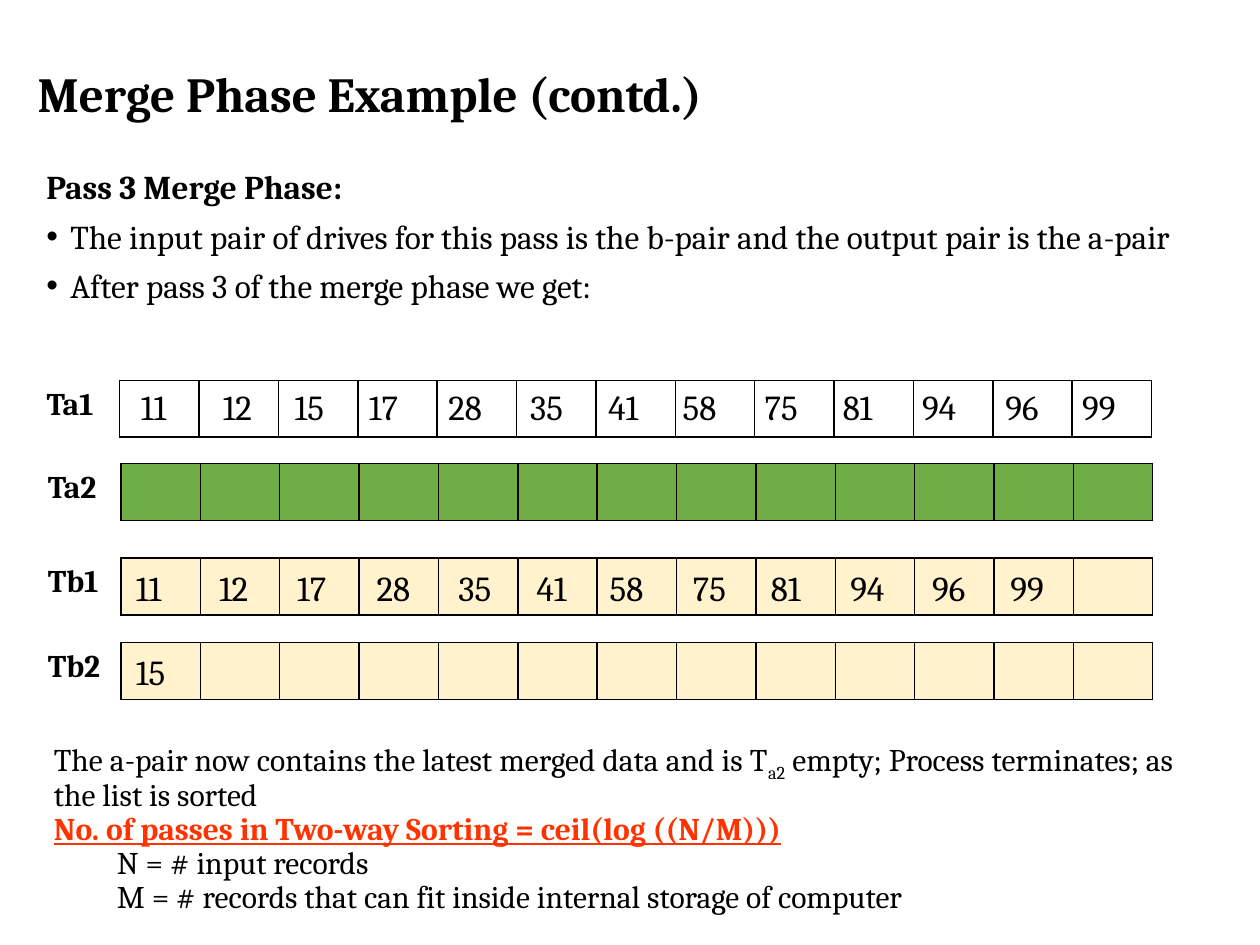
from lxml.etree import SubElement
from pptx import Presentation
from pptx.dml.color import RGBColor
from pptx.enum.text import MSO_ANCHOR, PP_ALIGN
from pptx.oxml.ns import qn
from pptx.util import Inches, Pt

FONT = "Cambria"
COLORS = {"ink": "000000", "paper": "FFFFFF", "empty": "70AD47",
          "input": "FFF2CC", "accent": "FF3300"}
LABEL_W, CELL_W, ROW_H, CELLS = 0.68, 0.63, 0.45, 13
NUMBER_W, NUMBER_H = 0.51, 0.44


def style(r, size, bold=False, color="ink", underline=False):
    """Set the font of one run."""
    f = r.font
    f.name, f.size, f.bold, f.underline = FONT, Pt(size), bold, underline
    f.color.rgb = RGBColor.from_string(COLORS[color])


def add_text(shapes, left, top, width, height, wrap=True):
    """Add an empty text box and return its text frame."""
    tf = shapes.add_textbox(Inches(left), Inches(top), Inches(width), Inches(height)).text_frame
    tf.word_wrap = wrap
    return tf


def add_lines(tf, lines):
    """Fill a text frame with one paragraph per line."""
    for i, line in enumerate(lines):
        p = tf.paragraphs[0] if i == 0 else tf.add_paragraph()
        p.text = line
        p.line_spacing = 0.9
        p.alignment = PP_ALIGN.JUSTIFY
    return tf.paragraphs


def indent(p, left, first=0.0):
    """Set the left margin and first-line indent of a paragraph."""
    pPr = p._p.get_or_add_pPr()
    pPr.set("marL", str(Inches(left)))
    pPr.set("indent", str(Inches(first)))
    return pPr


def add_title(s, left, top, width, height):
    """Add the slide title."""
    tf = add_text(s.shapes, left, top, width, height)
    tf.vertical_anchor = MSO_ANCHOR.MIDDLE
    p = tf.paragraphs[0]
    p.text = "Merge Phase Example (contd.)"
    p.line_spacing = 0.9
    style(p.runs[0], 28, bold=True)


def add_intro(s, left, top, width, height):
    """Add the heading of the pass and its bullets."""
    paragraphs = add_lines(add_text(s.shapes, left, top, width, height), [
        "Pass 3 Merge Phase:",
        "The input pair of drives for this pass is the b-pair and the output pair is the a-pair",
        "After pass 3 of the merge phase we get:",
    ])
    for i, p in enumerate(paragraphs):
        style(p.runs[0], 19, bold=i == 0)
        pPr = indent(p, 0.19, -0.19)
        if i:
            p.space_before = Pt(7.5)
            SubElement(pPr, qn("a:buFont"), typeface="Arial")
            SubElement(pPr, qn("a:buChar"), char="•")


def set_borders(cell, sides):
    """Draw the named sides of a cell and clear the others."""
    tcPr = cell._tc.get_or_add_tcPr()
    for side in "LRTB":
        ln = SubElement(tcPr, qn(f"a:ln{side}"), w=str(Pt(1)))
        if side in sides:
            fill = SubElement(ln, qn("a:solidFill"))
            SubElement(fill, qn("a:srgbClr"), val=COLORS["ink"])
        else:
            SubElement(ln, qn("a:noFill"))


def add_tape(s, left, top, label, color):
    """Add a tape as a labelled row of cells."""
    table = s.shapes.add_table(1, CELLS + 1, Inches(left), Inches(top),
                               Inches(LABEL_W + CELLS * CELL_W), Inches(ROW_H)).table
    table.first_row = table.horz_banding = False
    table.rows[0].height = Inches(ROW_H)
    for i, column in enumerate(table.columns):
        column.width = Inches(CELL_W if i else LABEL_W)
        cell = table.cell(0, i)
        set_borders(cell, "LRTB" if i else "R")
        cell.fill.solid()
        cell.fill.fore_color.rgb = RGBColor.from_string(COLORS[color if i else "paper"])
    p = table.cell(0, 0).text_frame.paragraphs[0]
    p.text = label
    style(p.runs[0], 18, bold=True)


def add_numbers(s, top, numbers):
    """Add the records of a tape, given as number and left edge."""
    shapes = s.shapes.add_group_shape().shapes if len(numbers) > 1 else s.shapes
    for number, left in numbers.items():
        p = add_text(shapes, left, top, NUMBER_W, NUMBER_H, wrap=False).paragraphs[0]
        p.text = str(number)
        style(p.runs[0], 20)


def add_conclusion(s, left, top, width, height):
    """Add the closing remark and the formula for the passes."""
    remark, formula, *terms = add_lines(add_text(s.shapes, left, top, width, height), [
        "The a-pair now contains the latest merged data and is T",
        "No. of passes in Two-way Sorting = ceil(log ((N/M)))",
        "N = # input records",
        "M = # records that can fit inside internal storage of computer",
    ])
    for text in ("a2", " empty; Process terminates; as the list is sorted"):
        remark.add_run().text = text
    for r in remark.runs:
        style(r, 18)
    remark.runs[1]._r.get_or_add_rPr().set("baseline", "-25000")
    style(formula.runs[0], 18, bold=True, color="accent", underline=True)
    for p in terms:
        p.level = 1
        indent(p, 0.5)
        style(p.runs[0], 18)


def main():
    """Build the slide and save it."""
    prs = Presentation()
    prs.slide_width, prs.slide_height = Inches(10), Inches(7.5)
    s = prs.slides.add_slide(prs.slide_layouts[6])
    add_title(s, 0.2, 0.14, 9.73, 1.25)
    add_intro(s, 0.27, 1.31, 9.33, 1.71)
    for label, left, top, color in (("Ta1", 0.27, 3.02, "paper"), ("Ta2", 0.28, 3.68, "empty"),
                                    ("Tb1", 0.28, 4.43, "input"), ("Tb2", 0.28, 5.1, "input")):
        add_tape(s, left, top, label, color)
    add_numbers(s, 5.11, {15: 0.98})
    add_numbers(s, 4.45, {11: 0.98, 12: 1.64, 17: 2.26, 28: 2.89, 35: 3.54, 41: 4.16,
                          58: 4.74, 75: 5.4, 81: 6.02, 94: 6.65, 96: 7.3, 99: 7.92})
    add_numbers(s, 3.01, {11: 1.02, 12: 1.67, 15: 2.24, 17: 2.83, 28: 3.46, 35: 4.11, 41: 4.73,
                          58: 5.32, 75: 5.97, 81: 6.59, 94: 7.22, 96: 7.88, 99: 8.49})
    add_conclusion(s, 0.33, 5.83, 9.08, 1.46)
    prs.save("out.pptx")


if __name__ == "__main__":
    main()
